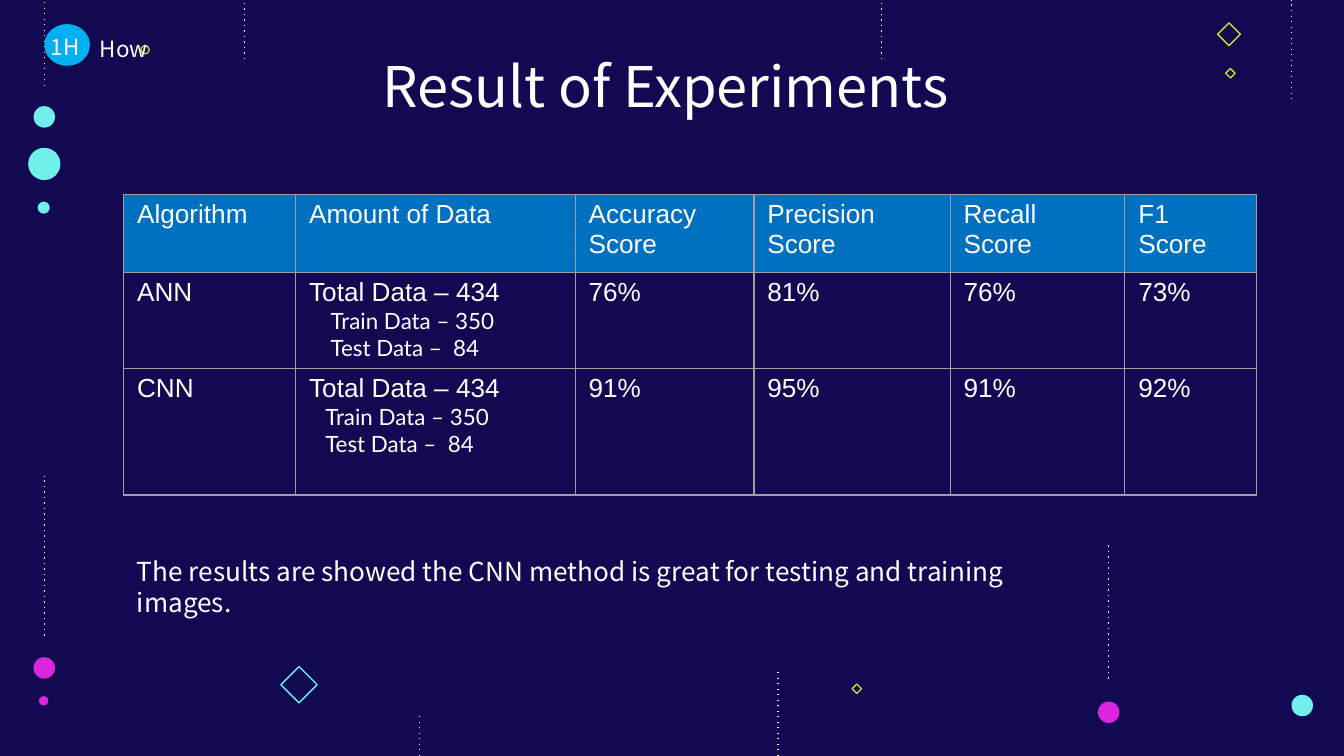
from typing import NamedTuple

from lxml import etree
from pptx import Presentation
from pptx.dml.color import RGBColor
from pptx.enum import shapes, text
from pptx.oxml.ns import qn
from pptx.util import Inches, Pt

WIDTH = 10
HEIGHT = WIDTH * 9 / 16
NAVY, WHITE, BLUE, SKY = "110A52", "FFFFFF", "0070C0", "00B0F0"
CYAN, MAGENTA, LIME, GREY = "6FF0EB", "DB25E1", "CBE125", "9E9E9E"
DISPLAY, BODY, DETAIL = "Noto Sans CJK JP", "Arial", "Lato"
ELLIPSE, DIAMOND = shapes.MSO_SHAPE.OVAL, shapes.MSO_SHAPE.DIAMOND


class Mark(NamedTuple):
    x: float
    y: float
    size: float
    color: str


class Thread(NamedTuple):
    x: float
    bottom: float
    top: float


class Result(NamedTuple):
    algorithm: str
    detail_indent: float
    scores: tuple[str, ...]


DOTS = [
    Mark(0.25, 0.79, 0.16, CYAN), Mark(0.21, 1.1, 0.24, CYAN),
    Mark(0.28, 1.5, 0.09, CYAN), Mark(9.61, 5.17, 0.16, CYAN),
    Mark(8.17, 5.22, 0.16, MAGENTA), Mark(0.25, 4.89, 0.16, MAGENTA),
    Mark(0.29, 5.18, 0.07, MAGENTA),
]
DIAMONDS = [
    Mark(2.09, 4.96, 0.27, CYAN), Mark(6.34, 5.09, 0.07, LIME),
    Mark(9.06, 0.17, 0.17, LIME), Mark(9.12, 0.51, 0.07, LIME),
]
THREADS = [
    Thread(0.33, 0.64, 0), Thread(0.33, 4.73, 3.54), Thread(8.25, 5.05, 4.05),
    Thread(1.82, 0.44, 0), Thread(9.61, 0.74, 0), Thread(6.56, 0.44, 0),
    Thread(5.79, HEIGHT, 4.98), Thread(3.12, HEIGHT, 5.33),
]
HEADERS = ["Algorithm", "Amount of Data", "Accuracy Score",
           "Precision Score", "Recall Score", "F1 Score"]
DATA_SPLIT = ["Total Data – 434", "Train Data – 350", "Test Data –  84"]
RESULTS = [
    Result("ANN", 0.16, ("76%", "81%", "76%", "73%")),
    Result("CNN", 0.12, ("91%", "95%", "91%", "92%")),
]
COLUMNS = [1.28, 2.08, 1.33, 1.46, 1.3, 0.98]
ROWS = [0.58, 0.67, 0.94]


def rgb(color: str) -> RGBColor:
    return RGBColor.from_string(color)


def write(p, content: str, *, size=14, font=BODY, color=WHITE,
          align=text.PP_ALIGN.LEFT, indent=0.0) -> None:
    p.alignment = align
    if indent:
        p._p.get_or_add_pPr().set("marL", str(Inches(indent)))
    r = p.add_run()
    r.text = content
    r.font.size = Pt(size)
    r.font.name = font
    r.font.color.rgb = rgb(color)


def add_text(s, content: str, x: float, y: float, w: float, h: float, *,
             anchor=text.MSO_ANCHOR.TOP, **style) -> None:
    tf = s.shapes.add_textbox(Inches(x), Inches(y), Inches(w), Inches(h)).text_frame
    tf.word_wrap = True
    tf.vertical_anchor = anchor
    tf.margin_left = tf.margin_right = tf.margin_top = tf.margin_bottom = Inches(0.1)
    write(tf.paragraphs[0], content, font=DISPLAY, **style)


def add_shape(s, kind, x: float, y: float, w: float, h: float, color: str,
              outlined=False) -> None:
    sp = s.shapes.add_shape(kind, Inches(x), Inches(y), Inches(w), Inches(h))
    sp.shadow.inherit = False
    if outlined:
        sp.fill.background()
        sp.line.color.rgb = rgb(color)
        sp.line.width = Pt(0.75)
    else:
        sp.fill.solid()
        sp.fill.fore_color.rgb = rgb(color)
        sp.line.fill.background()


def add_mark(s, kind, mark: Mark, outlined=False) -> None:
    add_shape(s, kind, mark.x, mark.y, mark.size, mark.size, mark.color, outlined)


def add_thread(s, thread: Thread) -> None:
    line = s.shapes.add_connector(
        shapes.MSO_CONNECTOR.STRAIGHT, Inches(thread.x), Inches(thread.bottom),
        Inches(thread.x), Inches(thread.top))
    line.line.color.rgb = rgb(WHITE)
    line.line.width = Pt(0.75)
    spPr = line._element.spPr
    etree.SubElement(spPr.find(qn("a:ln")), qn("a:prstDash"), val="dot")
    etree.SubElement(spPr, qn("a:effectLst"))


def style_cell(cell, fill: str | None) -> None:
    """Draw the four borders, then fill the cell or leave it clear."""
    cell.margin_top = cell.margin_bottom = Inches(0.04)
    tcPr = cell._tc.get_or_add_tcPr()
    for side in ("lnL", "lnR", "lnT", "lnB"):
        ln = etree.SubElement(tcPr, qn(f"a:{side}"), w=str(Pt(0.75)))
        solid = etree.SubElement(ln, qn("a:solidFill"))
        etree.SubElement(solid, qn("a:srgbClr"), val=GREY)
    if fill:
        cell.fill.solid()
        cell.fill.fore_color.rgb = rgb(fill)
    else:
        cell.fill.background()


def add_results_table(s) -> None:
    table = s.shapes.add_table(
        len(ROWS), len(COLUMNS), Inches(0.92), Inches(1.45),
        Inches(sum(COLUMNS)), Inches(sum(ROWS))).table
    table.horz_banding = False
    table.first_row = False
    for column, width in zip(table.columns, COLUMNS):
        column.width = Inches(width)
    for row, height in zip(table.rows, ROWS):
        row.height = Inches(height)

    for cell, header in zip(table.rows[0].cells, HEADERS):
        style_cell(cell, BLUE)
        write(cell.text_frame.paragraphs[0], header)

    total, *details = DATA_SPLIT
    for row, result in zip(list(table.rows)[1:], RESULTS):
        contents = (result.algorithm, total, *result.scores)
        for cell, content in zip(row.cells, contents):
            style_cell(cell, None)
            write(cell.text_frame.paragraphs[0], content)
        for detail in details:
            write(row.cells[1].text_frame.add_paragraph(), detail, size=12,
                  font=DETAIL, indent=result.detail_indent)


def main() -> None:
    prs = Presentation()
    prs.slide_width, prs.slide_height = Inches(WIDTH), Inches(HEIGHT)
    s = prs.slides.add_slide(prs.slide_layouts[6])
    s.background.fill.solid()
    s.background.fill.fore_color.rgb = rgb(NAVY)

    for dot in DOTS:
        add_mark(s, ELLIPSE, dot)
    for thread in THREADS:
        add_thread(s, thread)
    add_mark(s, ELLIPSE, Mark(1.05, 0.34, 0.06, LIME), outlined=True)
    for diamond in DIAMONDS:
        add_mark(s, DIAMOND, diamond, outlined=True)

    center = text.PP_ALIGN.CENTER
    add_text(s, "Result of Experiments ", 1.94, 0.28, 6.12, 0.52, size=30, align=center)
    add_results_table(s)
    add_text(s, "How", 0.59, 0.16, 0.66, 0.4, size=12, align=center)
    add_shape(s, ELLIPSE, 0.33, 0.18, 0.34, 0.31, SKY)
    add_text(s, "1H", 0.16, 0.21, 0.65, 0.28, size=12, align=center,
             anchor=text.MSO_ANCHOR.MIDDLE)
    add_text(s, "The results are showed the CNN method is great for testing "
             "and training images.", 0.92, 4.03, 7.28, 0.42)
    prs.save("out.pptx")


if __name__ == "__main__":
    main()
